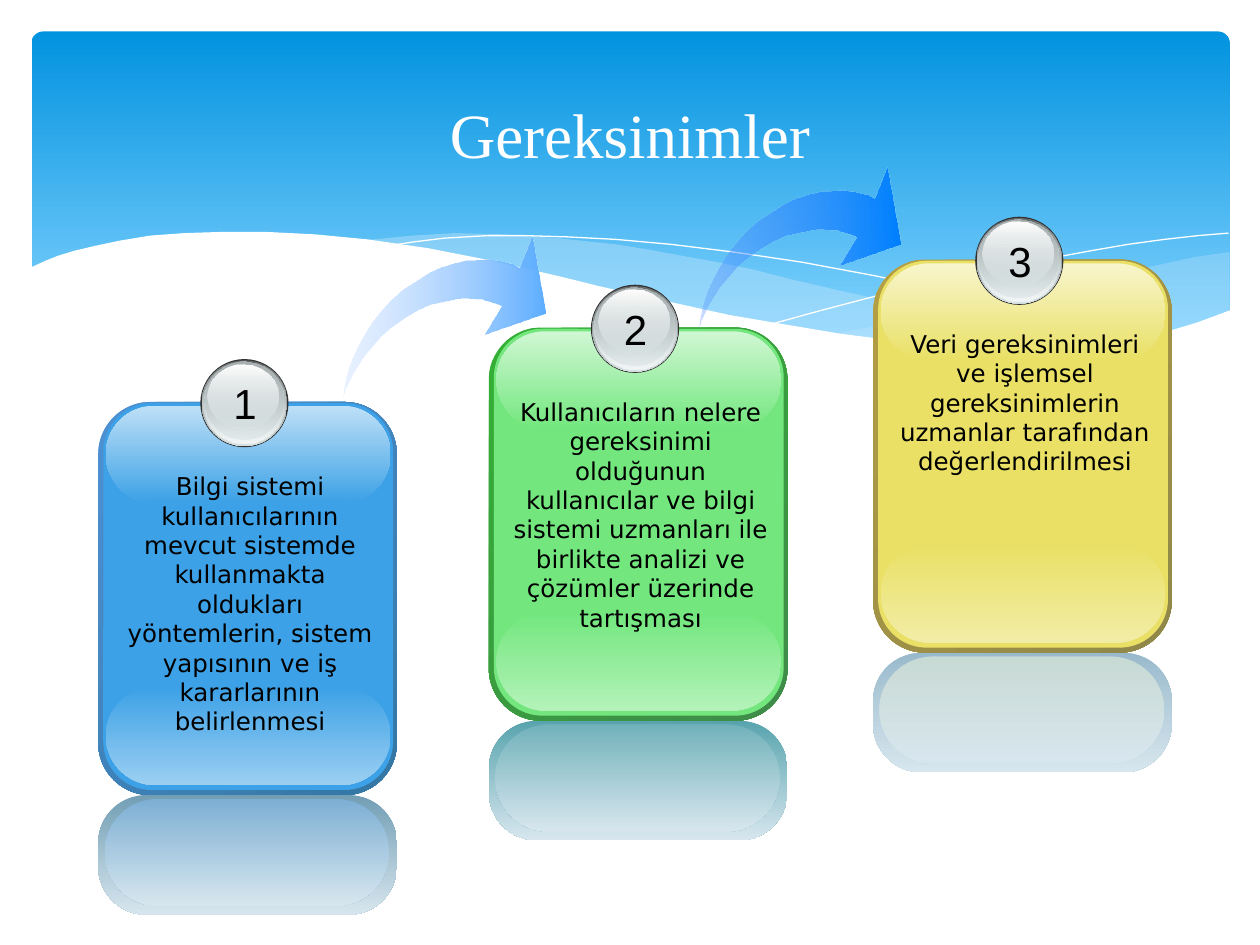
import pptx
import pptx.util
import pptx.dml.color
import pptx.enum.shapes
import pptx.enum.text
import pptx.oxml
import pptx.oxml.ns
from pptx.util import Inches

SHAPE = pptx.enum.shapes.MSO_SHAPE
ALIGN = pptx.enum.text.PP_ALIGN
ANCHOR = pptx.enum.text.MSO_ANCHOR

# Content
TITLE = "Gereksinimler"
CARDS = [
    dict(at=(0.78, 3.19), number="1", edge=("4E91D4", "3477A4"), face="3CA1E6",
         shine=("BEE0F7", "9BCFF2"), mirror=("729EB4", "7DAFD4"),
         text="Bilgi sistemi kullanıcılarının mevcut sistemde kullanmakta oldukları "
              "yöntemlerin, sistem yapısının ve iş kararlarının belirlenmesi"),
    dict(at=(3.88, 2.6), number="2", edge=("34B034", "3F8B4A"), face="73E77E",
         shine=("D0F7D4", "B3F2B9"), mirror=("58A4AE", "72B2BB"),
         text="Kullanıcıların nelere gereksinimi olduğunun kullanıcılar ve bilgi "
              "sistemi uzmanları ile birlikte analizi ve çözümler üzerinde tartışması"),
    dict(at=(6.93, 2.06), number="3", edge=("B59F43", "8F8849"), face="E9E065",
         shine=("F8F5CC", "F2EDA6"), mirror=("99BACC", "C8DAD4"),
         text="Veri gereksinimleri ve işlemsel gereksinimlerin uzmanlar tarafından "
              "değerlendirilmesi"),
]
MIRROR_END = "D7E6EE"

# Badge rings: offset and size within the badge, then fill
BADGE = [
    ((0, 0, 0.7, 0.7), "333333"),
    ((0.01, 0.01, 0.68, 0.68), [("636869", 100), ("D6E1E2", 100)]),
    ((0.02, 0.01, 0.66, 0.66), [("D6E1E2", 0), ("F1F5F5", 100)]),
    ((0.03, 0.02, 0.63, 0.62), [("AAB2B3", 100), ("D6E1E2", 48)]),
    ((0.06, 0.04, 0.56, 0.5), [("FFFFFF", 100), ("D6E1E2", 38)]),
]

# Header waves
RIGHT_WAVE = [
    (9.76, 2), (9.48, 2.04), (9.21, 2.1), (8.91, 2.16), (8.61, 2.23), (8.05, 2.37),
    (7.53, 2.48), (7.06, 2.57), (6.61, 2.65), (6.91, 2.69), (7.19, 2.72), (7.45, 2.75),
    (7.69, 2.77), (8.03, 2.78), (8.35, 2.77), (8.63, 2.75), (8.89, 2.72), (9.13, 2.67),
    (9.35, 2.62), (9.49, 2.57), (9.76, 2.47)]
MIDDLE_WAVE = [
    (8.93, 2.73), (8.66, 2.69), (8.07, 2.6), (7.41, 2.47), (6.68, 2.31), (6.29, 2.22),
    (5.98, 2.14), (5.69, 2.08), (5.41, 2.03), (5.14, 1.98), (4.89, 1.94), (4.42, 1.89),
    (3.99, 1.86), (3.61, 1.85), (3.28, 1.87), (2.86, 1.91), (3.23, 1.96), (3.62, 2.03),
    (4.04, 2.11), (4.49, 2.22), (5.3, 2.4), (5.84, 2.52), (6.34, 2.61), (6.8, 2.68),
    (7.22, 2.74), (7.61, 2.77), (7.96, 2.78), (8.28, 2.78), (8.57, 2.77)]
LONG_LINE = [
    (3.09, 1.95), (3.28, 1.92), (3.53, 1.89), (3.87, 1.87), (4.16, 1.87), (4.5, 1.88),
    (4.89, 1.9), (5.33, 1.94), (5.82, 2), (6.36, 2.08), (6.95, 2.19), (7.6, 2.33),
    (8.31, 2.51), (9.07, 2.72)]
SHORT_LINE = [
    (6.13, 2.57), (6.53, 2.46), (6.95, 2.35), (7.48, 2.23), (8.06, 2.1), (8.66, 1.99),
    (8.95, 1.94), (9.24, 1.9), (9.51, 1.87), (9.75, 1.85)]
WHITE_WAVE = [
    (9.77, 2.46), (9.5, 2.56), (9.2, 2.65), (8.87, 2.71), (8.5, 2.75), (8.09, 2.77),
    (7.78, 2.76), (7.44, 2.74), (7.08, 2.7), (6.68, 2.65), (6.26, 2.58), (5.79, 2.5),
    (5.29, 2.39), (4.75, 2.27), (4.47, 2.2), (3.91, 2.07), (3.4, 1.97), (2.92, 1.9),
    (2.5, 1.86), (2.11, 1.84), (1.77, 1.84), (1.46, 1.85), (1.19, 1.87), (0.95, 1.91),
    (0.76, 1.95), (0.59, 1.99), (0.46, 2.03), (0.36, 2.07), (0.23, 2.13), (0.23, 3.29),
    (9.77, 3.29)]

# Curved arrow, drawn once and shifted for the second step
ARROW = [
    (2.73, 3.15), (2.75, 3.08), (2.81, 2.96), (2.9, 2.82), (3.03, 2.67), (3.11, 2.6),
    (3.21, 2.53), (3.31, 2.47), (3.42, 2.42), (3.52, 2.4), (3.61, 2.38), (3.7, 2.37),
    (3.83, 2.38), (3.93, 2.41), (3.98, 2.43), (3.84, 2.66), (4.33, 2.49), (4.22, 1.88),
    (4.12, 2.13), (4.07, 2.1), (3.98, 2.08), (3.86, 2.06), (3.7, 2.07), (3.61, 2.09),
    (3.51, 2.12), (3.42, 2.16), (3.31, 2.23), (3.2, 2.3), (3.1, 2.39), (3.02, 2.48),
    (2.95, 2.57), (2.89, 2.67), (2.84, 2.76), (2.8, 2.85), (2.77, 2.93), (2.74, 3.06)]
ARROW_STEPS = [
    ((0, 0), [("BAD5FF", 32), ("5EAEFF", 100)]),
    ((2.82, -0.55), [("5A92FF", 32), ("0080FF", 100)]),
]


def rgb(value):
    return pptx.dml.color.RGBColor.from_string(value)


def paint(shape, fill, angle=90, end=100):
    """Fill with one colour, or with a gradient of (colour, opacity) stops."""
    shape.shadow.inherit = False
    shape.line.fill.background()
    if isinstance(fill, str):
        shape.fill.solid()
        shape.fill.fore_color.rgb = rgb(fill)
        return
    shape.fill.background()
    stops = "".join(
        f'<a:gs pos="{pos * 1000}"><a:srgbClr val="{colour}">'
        f'<a:alpha val="{opacity * 1000}"/></a:srgbClr></a:gs>'
        for pos, (colour, opacity) in zip((0, end), fill))
    gradient = pptx.oxml.parse_xml(
        f'<a:gradFill {pptx.oxml.ns.nsdecls("a")} rotWithShape="1"><a:gsLst>{stops}</a:gsLst>'
        f'<a:lin ang="{angle * 60000}" scaled="0"/></a:gradFill>')
    properties = shape._element.spPr
    properties.replace(properties.find(pptx.oxml.ns.qn("a:noFill")), gradient)


def solid_stops(*colours):
    return [(colour, 100) for colour in colours]


def add_preset(kind, box, fill, radius=None, angle=90, end=100):
    shape = slide.shapes.add_shape(kind, *map(Inches, box))
    if radius is not None:
        shape.adjustments[0] = radius
    paint(shape, fill, angle, end)


def add_outline(points, close=True):
    corners = [(Inches(x), Inches(y)) for x, y in points]
    builder = slide.shapes.build_freeform(*corners[0])
    builder.add_line_segments(corners[1:], close=close)
    return builder.convert_to_shape()


def set_text(frame, text, size, font, colour):
    frame.text = text
    paragraph = frame.paragraphs[0]
    paragraph.alignment = ALIGN.CENTER
    paragraph.font.size = pptx.util.Pt(size)
    paragraph.font.name = font
    paragraph.font.color.rgb = rgb(colour)


def add_label(box, text, size, font, wrap):
    frame = slide.shapes.add_textbox(*map(Inches, box)).text_frame
    frame.word_wrap = wrap
    set_text(frame, text, size, font, "000000")


def add_card(card):
    left, top = card["at"]
    face, shine, mirror = card["face"], card["shine"], card["mirror"]
    layers = [  # offset and size, corner radius, fill, angle
        ((0, 0, 2.37, 3.12), 0.175, solid_stops(*card["edge"]), 45),
        ((0.04, 0.01, 2.3, 3.07), 0.167, face, 90),
        ((0.06, 2.26, 2.26, 0.78), 0.5, solid_stops(face, shine[1]), 90),
        ((0.06, 0.03, 2.26, 0.77), 0.5, solid_stops(shine[0], face), 90),
        ((0, 3.12, 2.37, 0.95), 0.404, solid_stops(mirror[0], MIRROR_END), 90),
        ((0.05, 3.15, 2.26, 0.85), 0.5, solid_stops(mirror[1], MIRROR_END), 90),
    ]
    for (x, y, width, height), radius, fill, angle in layers:
        add_preset(SHAPE.ROUNDED_RECTANGLE, (left + x, top + y, width, height),
                   fill, radius, angle)
    for (x, y, width, height), fill in BADGE:
        add_preset(SHAPE.OVAL, (left + 0.81 + x, top - 0.34 + y, width, height), fill)
    add_label((left + 0.97, top - 0.24, 0.39, 0.5), card["number"], 24, "Arial", False)
    add_label((left + 0.08, top + 0.5, 2.25, 2.22), card["text"], 14, "DejaVu Sans", True)


presentation = pptx.Presentation()
presentation.slide_width, presentation.slide_height = Inches(10), Inches(7.5)
slide = presentation.slides.add_slide(presentation.slide_layouts[5])

# Header panel and waves
add_preset(SHAPE.ROUNDED_RECTANGLE, (0.25, 0.25, 9.51, 2.7),
           solid_stops("0293E0", "83D3FE"), 0.034, end=90)
for wave, opacity in ((RIGHT_WAVE, 29), (MIDDLE_WAVE, 40)):
    paint(add_outline(wave), [("C6E7FC", opacity)] * 2)
for curve in (LONG_LINE, SHORT_LINE):
    thread = add_outline(curve, close=False)
    thread.shadow.inherit = False
    thread.fill.background()
    thread.line.color.rgb = rgb("FFFFFF")
    thread.line.width = 0
paint(add_outline(WHITE_WAVE), "FFFFFF")

# Title, brought in front of the header
title = slide.shapes.title
title.left, title.top, title.width, title.height = map(Inches, (0.5, 0.37, 9, 1.37))
title.text_frame.vertical_anchor = ANCHOR.MIDDLE
set_text(title.text_frame, TITLE, 36, "Times New Roman", "FFFFFF")
slide.shapes._spTree.append(title._element)

# Cards and the arrows between them
for card in CARDS:
    add_card(card)
for (shift_x, shift_y), fill in ARROW_STEPS:
    paint(add_outline([(x + shift_x, y + shift_y) for x, y in ARROW]), fill, angle=0)

presentation.save("out.pptx")
